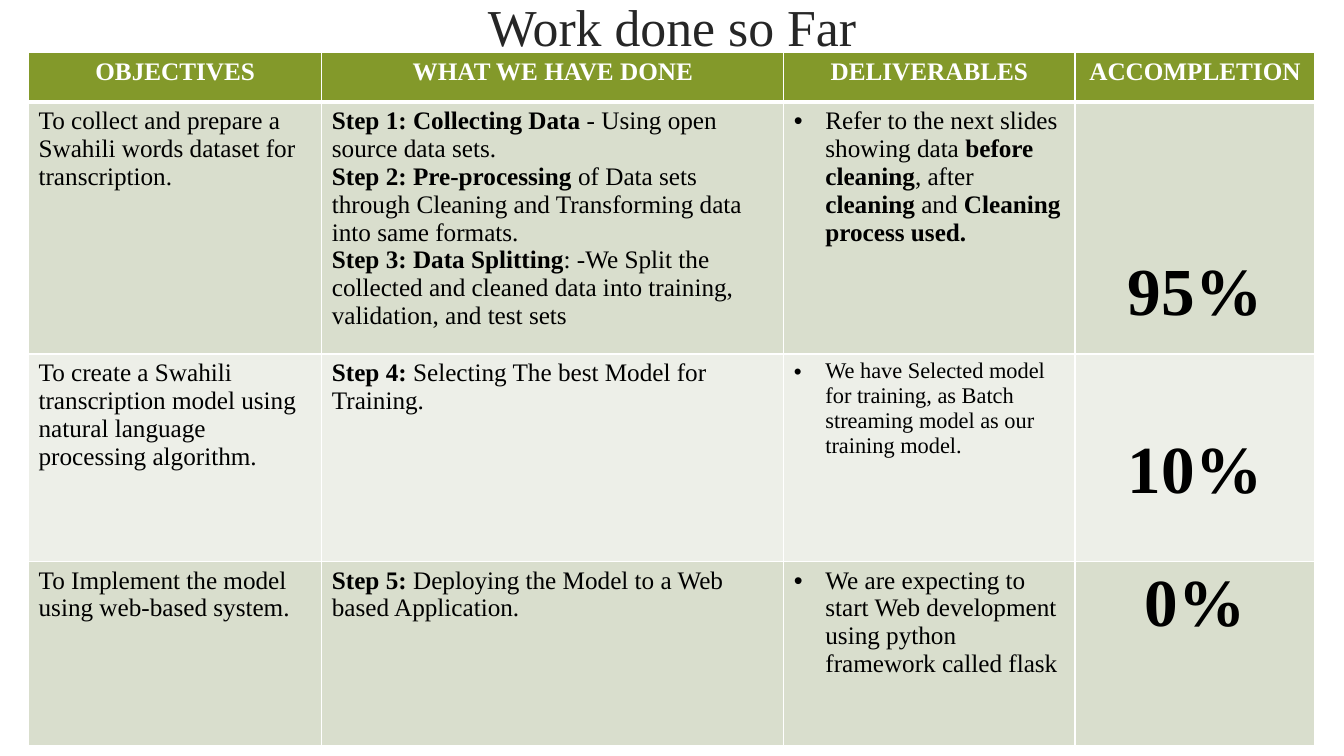
import pptx
import pptx.dml.color
import pptx.enum.text
import pptx.oxml
import pptx.oxml.ns
import pptx.util

Pt = pptx.util.Pt
ALIGN = pptx.enum.text.PP_ALIGN
FONT = "Times New Roman"
HEADER_FILL, ODD_FILL, EVEN_FILL = "83992A", "D9DECD", "EDEFE8"
NAMESPACE = pptx.oxml.ns.nsdecls("a")


def color(hex_string):
    return pptx.dml.color.RGBColor.from_string(hex_string)


def write(para, text, size, hex_string, align):
    """Fill a paragraph; text between ** marks is bold."""
    para.alignment = align
    para.font.name = FONT
    para.font.size = Pt(size)
    para.font.color.rgb = color(hex_string)
    for index, part in enumerate(text.split("**")):
        if part:
            span = para.add_run()
            span.text = part
            span.font.bold = index % 2 == 1


deck = pptx.Presentation()
deck.slide_width, deck.slide_height = Pt(960), Pt(540)
page = deck.slides.add_slide(deck.slide_layouts[6])

title = page.shapes.add_textbox(Pt(278), Pt(-6.5), Pt(404), Pt(50.4)).text_frame
title.word_wrap = True
title.vertical_anchor = pptx.enum.text.MSO_ANCHOR.MIDDLE
write(title.paragraphs[0], "Work done so Far", 37, "262626", ALIGN.CENTER)

headings = ["OBJECTIVES", "WHAT WE HAVE DONE", "DELIVERABLES", "ACCOMPLETION"]
# Objective, steps, deliverable, deliverable size, percentage, space above percentage
goals = [
    ("To collect and prepare a Swahili words dataset for transcription.",
     ["**Step 1: Collecting Data **- Using open source data sets.",
      "**Step 2: Pre-processing** of Data sets through Cleaning and Transforming data into same formats.",
      "**Step 3: Data Splitting**: -We Split the collected and cleaned data into training, "
      "validation, and test sets"],
     "Refer to the next slides showing data **before cleaning**, after **cleaning** and "
     "**Cleaning process used.**", 18, "95%", 110),
    ("To create a Swahili transcription model using natural language processing algorithm.",
     ["**Step 4: **Selecting The best Model for Training."],
     "We have Selected model for training, as Batch streaming model as our training model.",
     16, "10%", 57),
    ("To Implement the model using web-based system.",
     ["**Step 5: **Deploying the Model to a Web based Application."],
     "We are expecting to start Web development using python framework called flask",
     18, "0%", 3.6),
]
widths = [209.5, 330, 208, 171.5]
heights = [35.3, 177.8, 148.3, 131.8]

table = page.shapes.add_table(len(heights), len(widths), Pt(20.4), Pt(37.5),
                              Pt(sum(widths)), Pt(sum(heights))).table
for column, width in zip(table.columns, widths):
    column.width = Pt(width)
for row, height in zip(table.rows, heights):
    row.height = Pt(height)

for row_index, row in enumerate(table.rows):
    fill = HEADER_FILL if row_index == 0 else ODD_FILL if row_index % 2 else EVEN_FILL
    for cell in row.cells:
        borders = {"lnL": 1, "lnR": 1,
                   "lnT": 3 if row_index == 1 else 1,
                   "lnB": 3 if row_index == 0 else 1}
        for tag, weight in borders.items():
            cell._tc.get_or_add_tcPr().append(pptx.oxml.parse_xml(
                f'<a:{tag} {NAMESPACE} w="{Pt(weight)}"><a:solidFill>'
                f'<a:srgbClr val="FFFFFF"/></a:solidFill></a:{tag}>'))
        cell.fill.solid()
        cell.fill.fore_color.rgb = color(fill)

for cell, heading in zip(table.rows[0].cells, headings):
    write(cell.text_frame.paragraphs[0], f"**{heading}**", 18, "FFFFFF", ALIGN.CENTER)

for row_index, goal in enumerate(goals, start=1):
    objective, steps, deliverable, size, percentage, space_above = goal
    objective_cell, steps_cell, deliverable_cell, percentage_cell = table.rows[row_index].cells
    write(objective_cell.text_frame.paragraphs[0], objective, 18, "000000", ALIGN.LEFT)

    for index, step in enumerate(steps):
        frame = steps_cell.text_frame
        para = frame.add_paragraph() if index else frame.paragraphs[0]
        write(para, step, 18, "000000", ALIGN.LEFT)

    para = deliverable_cell.text_frame.paragraphs[0]
    write(para, deliverable, size, "000000", ALIGN.LEFT)
    properties = para._p.get_or_add_pPr()
    properties.set("marL", str(Pt(22.5)))
    properties.set("indent", str(Pt(-22.5)))
    properties.insert(0, pptx.oxml.parse_xml(f'<a:buFont {NAMESPACE} typeface="Arial"/>'))
    properties.insert(1, pptx.oxml.parse_xml(f'<a:buChar {NAMESPACE} char="•"/>'))

    percentage_cell.margin_top = Pt(space_above)
    write(percentage_cell.text_frame.paragraphs[0], f"**{percentage}**", 48, "000000", ALIGN.CENTER)

deck.save("out.pptx")
